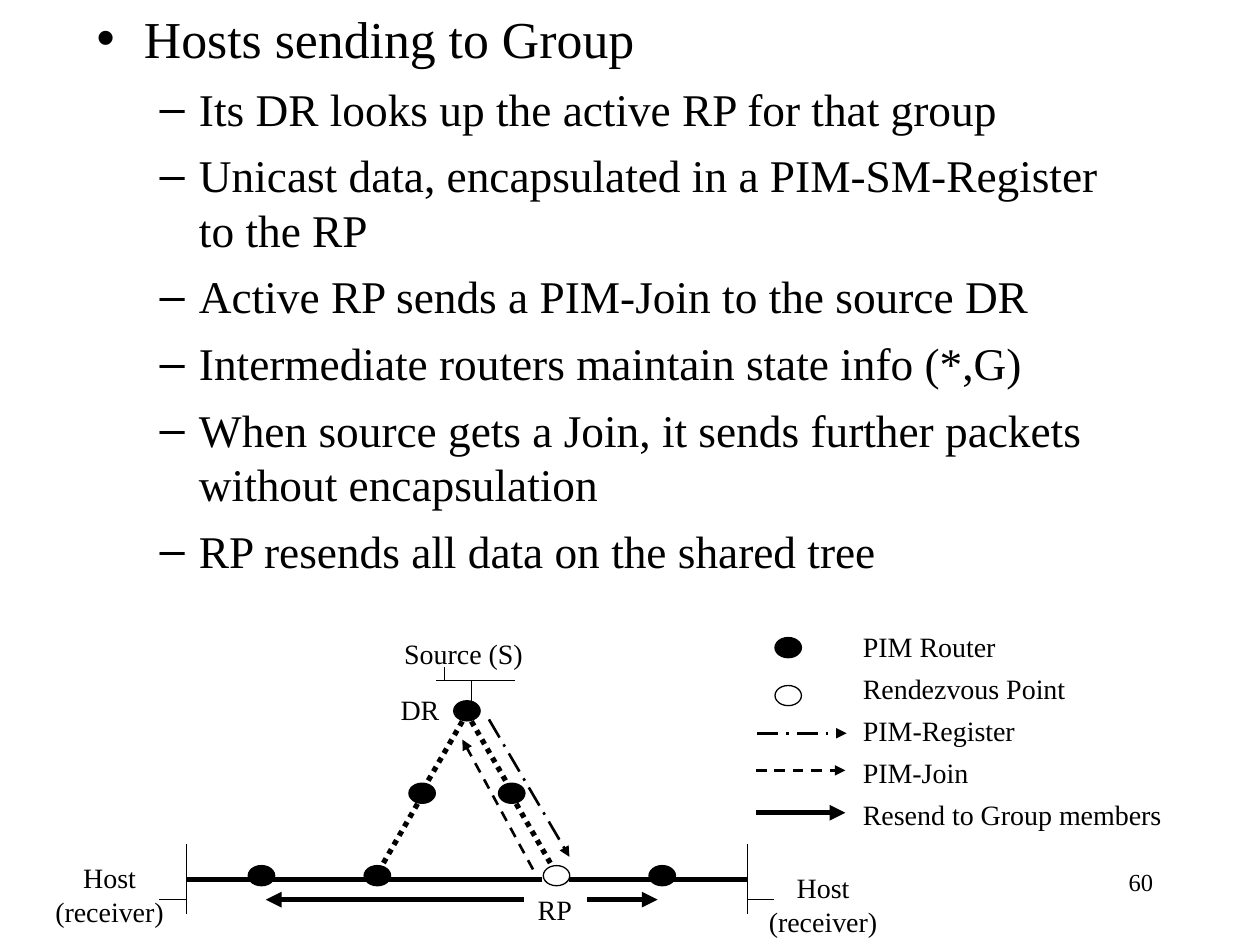
from dataclasses import dataclass
from typing import NamedTuple, Optional

from lxml import etree
from pptx import Presentation
from pptx.dml.color import RGBColor
from pptx.enum.dml import MSO_LINE as Dash
from pptx.enum.shapes import MSO_CONNECTOR as Conn, MSO_SHAPE as Shape
from pptx.enum.text import MSO_ANCHOR as Anchor, MSO_AUTO_SIZE as Auto, PP_ALIGN as Align
from pptx.oxml.ns import qn
from pptx.util import Pt


@dataclass(frozen=True)
class Theme:
    font: str = "Times New Roman"
    ink: RGBColor = RGBColor(0, 0, 0)
    head: float = 29.6
    body: float = 25.9
    label: float = 16
    number: float = 14
    thin: float = 0.75
    medium: float = 1.5
    thick: float = 3


T = Theme()


class Level(NamedTuple):
    bullet: str
    size: float
    margin: float
    indent: float
    before: float


class Line(NamedTuple):
    x1: float
    y1: float
    x2: float
    y2: float
    width: float
    dash: Optional[Dash] = None
    arrow: bool = False


class Label(NamedTuple):
    text: str
    x: float
    y: float
    w: float
    h: float = 26.6
    align: Align = Align.LEFT
    size: float = T.label


TOP = Level("•", T.head, 27, -27, 0)
SUB = Level("–", T.body, 58.5, -22.5, 7)
NODE_W, NODE_H = 15.1, 11.5

BULLETS = [
    (TOP, "Hosts sending to Group"),
    (SUB, "Its DR looks up the active RP for that group"),
    (SUB, "Unicast data, encapsulated in a PIM-SM-Register to the RP"),
    (SUB, "Active RP sends a PIM-Join to the source DR"),
    (SUB, "Intermediate routers maintain state info (*,G)"),
    (SUB, "When source gets a Join, it sends further packets without encapsulation"),
    (SUB, "RP resends all data on the shared tree"),
]

# Router tree: apex, and the step from one row to the next
APEX_X, APEX_Y, STEP_X, STEP_Y = 266.8, 406.2, 25.6, 47.1
BASE_Y = APEX_Y + 2 * STEP_Y
RP_X = APEX_X + 2 * STEP_X
ROUTERS = [(APEX_X, APEX_Y), (APEX_X - STEP_X, APEX_Y + STEP_Y),
           (APEX_X + STEP_X, APEX_Y + STEP_Y), (APEX_X - 2 * STEP_X, BASE_Y),
           (149.4, BASE_Y), (378.4, BASE_Y)]
BRANCHES = [
    Line(APEX_X + side * (row * STEP_X + 2.6), APEX_Y + row * STEP_Y + 6,
         APEX_X + side * ((row + 1) * STEP_X - 2.8), APEX_Y + (row + 1) * STEP_Y - 6,
         T.thick, Dash.ROUND_DOT)
    for side in (-1, 1) for row in (0, 1)
]

# Shared tree, networks and messages
LEFT_LAN, RIGHT_LAN, TREE_Y, HOST_Y = 106.6, 427, 502.6, 514.1
LINES = [
    Line(LEFT_LAN, TREE_Y, 309.6, TREE_Y, T.thick),
    Line(325.4, TREE_Y, RIGHT_LAN, TREE_Y, T.thick),
    Line(269.3, 404.6, 269.3, 388.8, T.thin),
    Line(249.1, 388.8, 294.5, 388.8, T.thin),
    Line(254.2, 388.8, 254.2, 380.9, T.thin),
    *(Line(x, 482.4, x, 522, T.thin) for x in (LEFT_LAN, RIGHT_LAN)),
    Line(LEFT_LAN, HOST_Y, 90.7, HOST_Y, T.thin),
    Line(442.1, HOST_Y, RIGHT_LAN, HOST_Y, T.thin),
    Line(335.5, HOST_Y, 375.8, HOST_Y, T.thick, arrow=True),
    Line(299.5, HOST_Y, 151.9, HOST_Y, T.thick, arrow=True),
    Line(279.4, 411.1, 325.4, 489.6, T.medium, Dash.LONG_DASH_DOT, True),
    Line(304.6, 496.8, 264.2, 422.6, T.medium, Dash.DASH, True),
]
LABELS = [
    Label("Source (S)", 223.9, 360, 82.1),
    Label("DR", 221.8, 392.4, 36.7),
    Label("RP", 300.2, 506.5, 33.8),
    Label("Host\n(receiver)", 24.5, 488.2, 76.3, 46.1, Align.CENTER),
    Label("Host\n(receiver)", 432.2, 494.2, 76.3, 46.1, Align.CENTER),
    Label("60", 516.2, 491.8, 149.8, 36, Align.RIGHT, T.number),
]

# Legend
KEY_X, KEY_Y = 450.4, 370.1
KEY_LINES = [
    Line(432.7, 419, 483.8, 419, T.medium, Dash.LONG_DASH_DOT, True),
    Line(432, 440.2, 483.1, 440.2, T.medium, Dash.DASH, True),
    Line(432, 464.4, 483.1, 464.4, T.thick, arrow=True),
]
KEY_TEXTS = [("PIM Router", 90), ("Rendezvous Point", 130), ("PIM-Register", 101.4),
             ("PIM-Join", 76.3), ("Resend to Group members", 185.2)]
KEY_LABELS = [Label(text, 486, 356.4 + 24 * i, w) for i, (text, w) in enumerate(KEY_TEXTS)]


def set_all(obj, values: dict) -> None:
    for name, value in values.items():
        setattr(obj, name, value)


def add_run(p, text: str, size: float) -> None:
    r = p.add_run()
    r.text = text
    set_all(r.font, {"name": T.font, "size": Pt(size)})
    r.font.color.rgb = T.ink


def fill_body(sp) -> None:
    set_all(sp, {"left": Pt(48), "top": Pt(0), "width": Pt(612), "height": Pt(348)})
    tf = sp.text_frame
    set_all(tf, {"word_wrap": True, "auto_size": Auto.NONE, "vertical_anchor": Anchor.TOP})
    for i, (level, text) in enumerate(BULLETS):
        p = tf.paragraphs[0] if i == 0 else tf.add_paragraph()
        pPr = p._p.get_or_add_pPr()
        pPr.set("marL", str(Pt(level.margin)))
        pPr.set("indent", str(Pt(level.indent)))
        etree.SubElement(pPr, qn("a:buChar")).set("char", level.bullet)
        set_all(p, {"level": int(level is SUB), "space_before": Pt(level.before)})
        add_run(p, text, level.size)


def add_node(s, x: float, y: float, solid: bool = True) -> None:
    sp = s.shapes.add_shape(Shape.OVAL, Pt(x - NODE_W / 2), Pt(y - NODE_H / 2),
                            Pt(NODE_W), Pt(NODE_H))
    sp.shadow.inherit = False
    if solid:
        sp.fill.solid()
        sp.fill.fore_color.rgb = T.ink
    else:
        sp.fill.background()
    sp.line.color.rgb = T.ink
    sp.line.width = Pt(T.thin)


def add_line(s, line: Line) -> None:
    c = s.shapes.add_connector(Conn.STRAIGHT, Pt(line.x1), Pt(line.y1), Pt(line.x2), Pt(line.y2))
    c.line.color.rgb = T.ink
    c.line.width = Pt(line.width)
    if line.dash:
        c.line.dash_style = line.dash
    if line.arrow:
        etree.SubElement(c.line._get_or_add_ln(), qn("a:tailEnd")).set("type", "triangle")
    etree.SubElement(c._element.spPr, qn("a:effectLst"))


def add_label(s, label: Label) -> None:
    tf = s.shapes.add_textbox(Pt(label.x), Pt(label.y), Pt(label.w), Pt(label.h)).text_frame
    wraps = label.align == Align.RIGHT
    set_all(tf, {"word_wrap": wraps, "auto_size": Auto.NONE if wraps else Auto.SHAPE_TO_FIT_TEXT})
    for i, text in enumerate(label.text.split("\n")):
        p = tf.paragraphs[0] if i == 0 else tf.add_paragraph()
        p.alignment = label.align
        add_run(p, text, label.size)


def main() -> None:
    prs = Presentation()
    set_all(prs, {"slide_width": Pt(720), "slide_height": Pt(540)})
    s = prs.slides.add_slide(prs.slide_layouts[1])

    # The slide has bullets but no title
    title = s.shapes.title._element
    title.getparent().remove(title)
    fill_body(s.placeholders[1])

    # Diagram and legend
    for x, y in ROUTERS + [(KEY_X, KEY_Y)]:
        add_node(s, x, y)
    for x, y in [(RP_X, BASE_Y), (KEY_X, KEY_Y + 27.4)]:
        add_node(s, x, y, solid=False)
    for line in BRANCHES + LINES + KEY_LINES:
        add_line(s, line)
    for label in LABELS + KEY_LABELS:
        add_label(s, label)
    prs.save("out.pptx")


if __name__ == "__main__":
    main()
